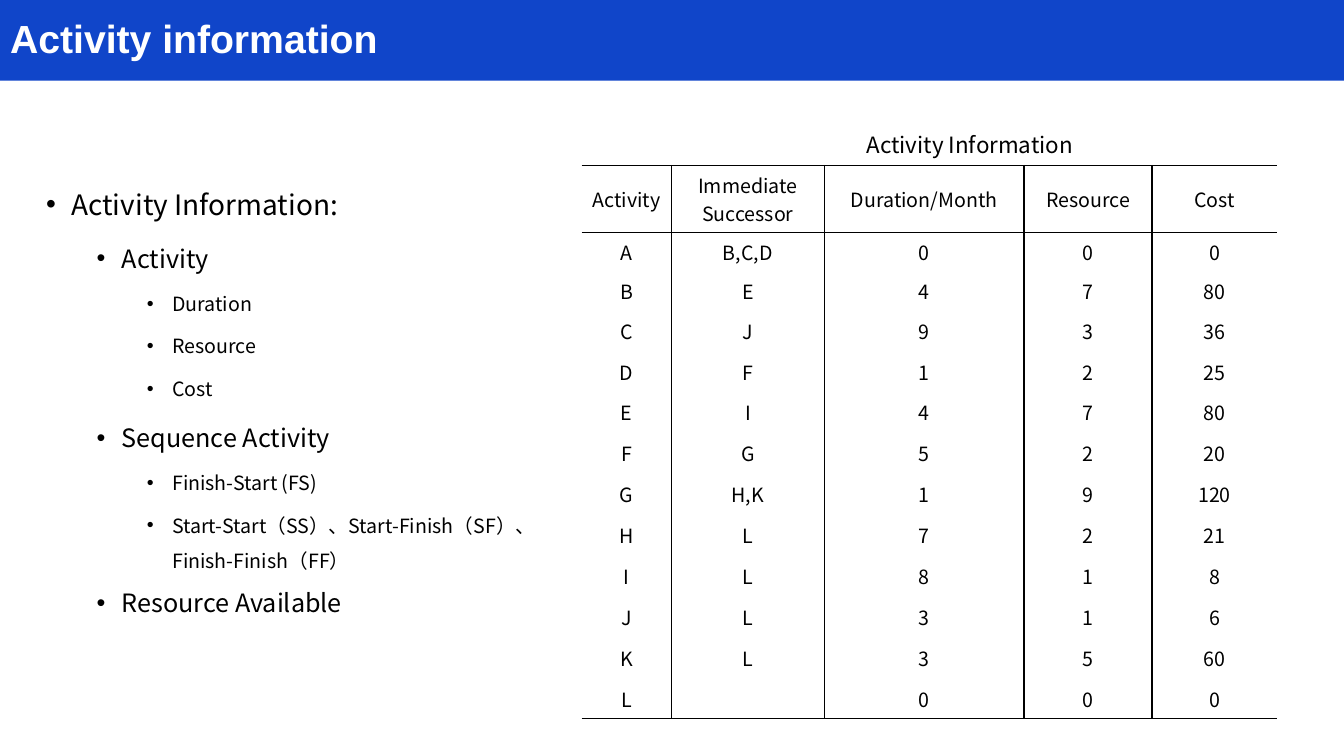
import pptx
import pptx.dml.color
import pptx.enum.shapes
import pptx.enum.text
import pptx.oxml
import pptx.oxml.ns
import pptx.util

ALIGN = pptx.enum.text.PP_ALIGN
MIDDLE = pptx.enum.text.MSO_ANCHOR.MIDDLE
NAMESPACE = pptx.oxml.ns.nsdecls("a")

OUTLINE = [
    (0, "Activity Information:"),
    (1, "Activity"),
    (2, "Duration"),
    (2, "Resource"),
    (2, "Cost"),
    (1, "Sequence Activity"),
    (2, "Finish-Start (FS)"),
    (2, "Start-Start（SS）、Start-Finish（SF）、Finish-Finish（FF）"),
    (1, "Resource Available"),
]
LEVEL_SIZES = (20, 18, 14)

ACTIVITIES = [
    ("Activity", "Immediate Successor", "Duration/Month", "Resource", "Cost"),
    ("A", "B,C,D", 0, 0, 0),
    ("B", "E", 4, 7, 80),
    ("C", "J", 9, 3, 36),
    ("D", "F", 1, 2, 25),
    ("E", "I", 4, 7, 80),
    ("F", "G", 5, 2, 20),
    ("G", "H,K", 1, 9, 120),
    ("H", "L", 7, 2, 21),
    ("I", "L", 8, 1, 8),
    ("J", "L", 3, 1, 6),
    ("K", "L", 3, 5, 60),
    ("L", "", 0, 0, 0),
]
COLUMN_WIDTHS = (10.68, 18.24, 23.76, 15.24, 14.88)
ROW_HEIGHTS = [8, 4.6, 4.6] + [4.87] * 10


def color(value):
    return pptx.dml.color.RGBColor.from_string(value)


class Deck:
    """Holds the style and the current slide, laid out on 160 columns by 90 rows."""

    heading_font = "Arial"
    text_font = "Noto Sans CJK JP"
    blue, white, black = "1045C9", "FFFFFF", "000000"

    def __init__(self):
        self.presentation = pptx.Presentation()
        self.presentation.slide_width = pptx.util.Inches(40 / 3)
        self.presentation.slide_height = pptx.util.Inches(7.5)
        self.column = self.presentation.slide_width / 160
        self.row = self.presentation.slide_height / 90
        layout = self.presentation.slide_layouts[1]
        self.slide = self.presentation.slides.add_slide(layout)

    def box(self, left, top, width, height):
        return (round(left * self.column), round(top * self.row),
                round(width * self.column), round(height * self.row))

    def place(self, shape, area):
        shape.left, shape.top, shape.width, shape.height = self.box(*area)
        shape.text_frame.word_wrap = True
        shape.text_frame.auto_size = pptx.enum.text.MSO_AUTO_SIZE.NONE

    def format_runs(self, paragraph, size, name=text_font, fill=black, bold=False):
        for run in paragraph.runs:
            run.font.size = pptx.util.Pt(size)
            run.font.bold = bold
            run.font.color.rgb = color(fill)
            run.font.name = name
            run.font._element.append(pptx.oxml.parse_xml(
                f'<a:ea {NAMESPACE} typeface="{name}"/>'))

    def band(self, area):
        band = self.slide.shapes.add_shape(
            pptx.enum.shapes.MSO_SHAPE.RECTANGLE, *self.box(*area))
        band.shadow.inherit = False
        band.fill.solid()
        band.fill.fore_color.rgb = color(self.blue)
        band.line.fill.background()
        band.element.getparent().insert(2, band.element)

    def title(self, text, area):
        title = self.slide.shapes.title
        self.place(title, area)
        title.text_frame.text = text
        title.text_frame.vertical_anchor = MIDDLE
        paragraph = title.text_frame.paragraphs[0]
        paragraph.alignment = ALIGN.LEFT
        paragraph.line_spacing = 0.9
        self.format_runs(paragraph, 28, self.heading_font, self.white, True)

    def outline(self, items, area):
        body = self.slide.placeholders[1]
        self.place(body, area)
        body.text_frame.text = "\n".join(text for level, text in items)
        previous = 0
        for paragraph, (level, text) in zip(body.text_frame.paragraphs, items):
            paragraph.level = level
            properties = paragraph._p.get_or_add_pPr()
            properties.set("marL", str(pptx.util.Inches(0.25 + 0.5 * level)))
            properties.set("indent", str(-pptx.util.Inches(0.25)))
            for bullet in ('buFont typeface="Arial"', 'buChar char="•"'):
                name, attribute = bullet.split(" ")
                properties.append(pptx.oxml.parse_xml(
                    f"<a:{name} {NAMESPACE} {attribute}/>"))
            closing = paragraph is body.text_frame.paragraphs[0] or text == items[-1][1]
            paragraph.space_before = pptx.util.Pt(
                0 if level == 0 or closing else 5)
            paragraph.space_after = pptx.util.Pt(0)
            paragraph.line_spacing = 1.5
            self.format_runs(paragraph, LEVEL_SIZES[level])

    def caption(self, text, area):
        caption = self.slide.shapes.add_textbox(*self.box(*area))
        caption.text_frame.word_wrap = True
        caption.text_frame.text = text
        self.format_runs(caption.text_frame.paragraphs[0], 16)

    def borders(self, cell, visible):
        properties = cell._tc.get_or_add_tcPr()
        for index, side in enumerate("LRTB"):
            fill = (f'<a:solidFill><a:srgbClr val="{self.black}"/></a:solidFill>'
                    if side in visible else "<a:noFill/>")
            properties.insert(index, pptx.oxml.parse_xml(
                f'<a:ln{side} {NAMESPACE} w="12700">{fill}</a:ln{side}>'))

    def table(self, rows, widths, heights, left, top):
        table = self.slide.shapes.add_table(
            len(rows), len(widths),
            *self.box(left, top, sum(widths), sum(heights))).table
        table.first_row = table.horz_banding = False
        for column, width in zip(table.columns, widths):
            column.width = round(width * self.column)
        for row, height in zip(table.rows, heights):
            row.height = round(height * self.row)
        last_row, last_column = len(rows) - 1, len(widths) - 1
        for y, values in enumerate(rows):
            for x, value in enumerate(values):
                cell = table.cell(y, x)
                cell.text_frame.text = str(value)
                cell.vertical_anchor = MIDDLE
                cell.fill.background()
                paragraph = cell.text_frame.paragraphs[0]
                paragraph.alignment = ALIGN.CENTER
                self.format_runs(paragraph, 14)
                self.borders(cell, ("L" if x > 0 else "")
                             + ("R" if x < last_column else "")
                             + ("T" if y < 2 else "")
                             + ("B" if y in (0, last_row) else ""))


def main():
    deck = Deck()
    deck.band((0, 0, 160, 9.6))
    deck.title("Activity information", (0, 1.6, 123, 6.4))
    deck.outline(OUTLINE, (4.3, 19.7, 64.9, 59.4))
    deck.table(ACTIVITIES, COLUMN_WIDTHS, ROW_HEIGHTS, 69.24, 19.7)
    deck.caption("Activity Information", (102, 15, 34.2, 4.4))
    deck.presentation.save("out.pptx")


if __name__ == "__main__":
    main()
